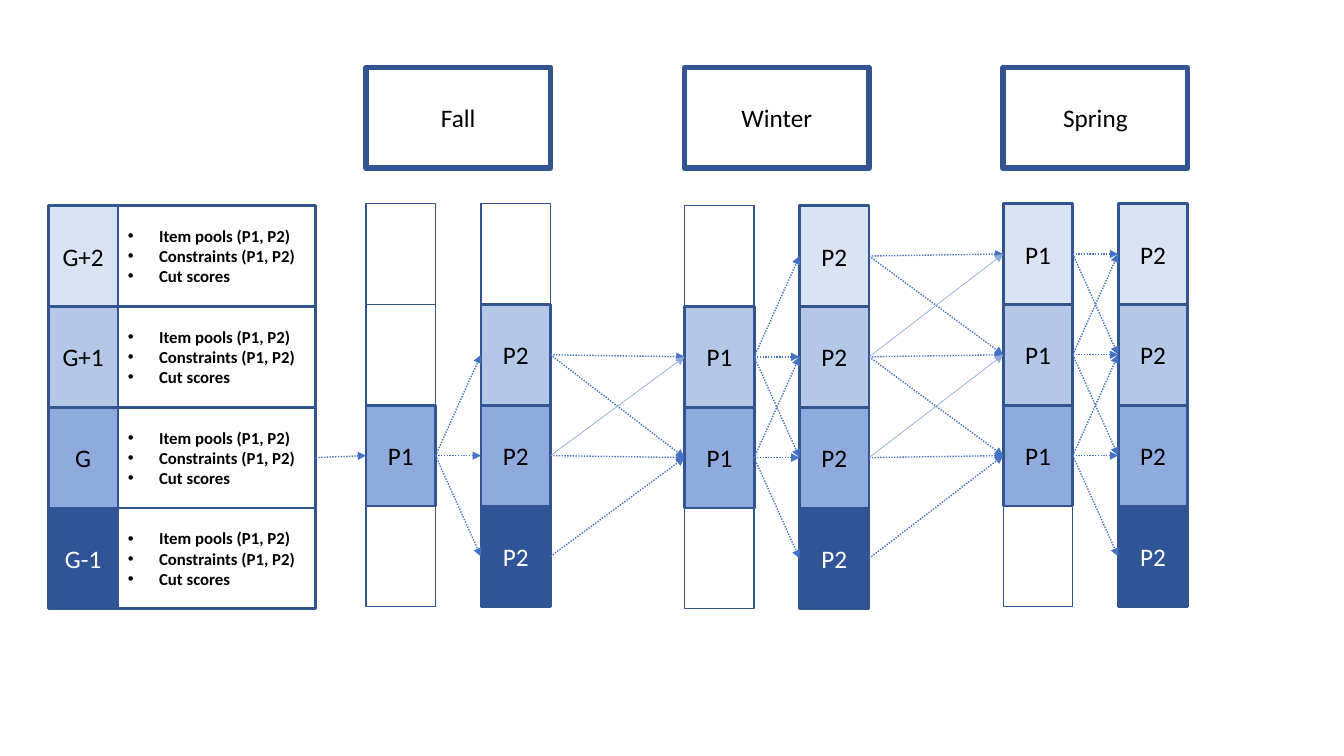
from lxml import etree
from pptx import Presentation, util as u
from pptx.dml.color import RGBColor
from pptx.enum import dml, shapes, text
from pptx.oxml import ns

NAVY = RGBColor(0x32, 0x54, 0x91)
BLUE = RGBColor(0x44, 0x72, 0xC4)
SOFT = RGBColor(0x8F, 0xAA, 0xDC)
BLACK = RGBColor(0, 0, 0)
WHITE = RGBColor(255, 255, 255)
# Grade rows from top to bottom: name, fill, font colour
GRADES = [
    ("G+2", RGBColor(0xDA, 0xE3, 0xF3), BLACK),
    ("G+1", RGBColor(0xB4, 0xC7, 0xE7), BLACK),
    ("G", SOFT, BLACK),
    ("G-1", RGBColor(0x2F, 0x55, 0x97), WHITE),
]
NEEDS = ["Item pools (P1, P2)", "Constraints (P1, P2)", "Cut scores"]
CELL, ROW, TERM = 0.69, 1, 1.83
RIGHT, LEFT = 3, 1  # connection sites of a rectangle

prs = Presentation()
prs.slide_width, prs.slide_height = u.Inches(13.33), u.Inches(7.5)
slide = prs.slides.add_slide(prs.slide_layouts[6])


def add_box(left, top, width, height, lines=(), fill=None, ink=BLACK,
            edge=2, size=18, bold=False, align=text.PP_ALIGN.CENTER):
    box = slide.shapes.add_shape(
        shapes.MSO_SHAPE.RECTANGLE, *map(u.Inches, (left, top, width, height)))
    box.shadow.inherit = False
    if fill is None:
        box.fill.background()
    else:
        box.fill.solid()
        box.fill.fore_color.rgb = fill
    box.line.color.rgb = NAVY
    box.line.width = u.Pt(edge)
    frame = box.text_frame
    frame.word_wrap = True
    frame.vertical_anchor = text.MSO_ANCHOR.MIDDLE
    look = {"name": "Calibri", "size": u.Pt(size), "bold": bold}
    for i, line in enumerate(lines):
        para = frame.add_paragraph() if i else frame.paragraphs[0]
        para.alignment = align
        run = para.add_run()
        run.text = line
        for key, value in look.items():
            setattr(run.font, key, value)
        run.font.color.rgb = ink
    return box


def add_bullets(box):
    indent = u.Inches(0.31)
    for para in box.text_frame.paragraphs:
        props = para._p.get_or_add_pPr()
        props.set("marL", str(indent))
        props.set("indent", str(-indent))
        etree.SubElement(props, ns.qn("a:buFont")).set("typeface", "Arial")
        etree.SubElement(props, ns.qn("a:buChar")).set("char", "\u2022")


def link(start, end, faint=False):
    arrow = slide.shapes.add_connector(shapes.MSO_CONNECTOR.STRAIGHT, 0, 0, 0, 0)
    arrow.begin_connect(start, RIGHT)
    arrow.end_connect(end, LEFT)
    arrow.line.color.rgb = SOFT if faint else BLUE
    arrow.line.width = u.Pt(0.5 if faint else 1)
    if not faint:
        arrow.line.dash_style = dml.MSO_LINE.ROUND_DOT
    tail = etree.SubElement(arrow.line._get_or_add_ln(), ns.qn("a:tailEnd"))
    tail.set("type", "triangle")
    etree.SubElement(arrow._element.spPr, ns.qn("a:effectLst"))


def add_key(left, top, width):
    """Grade names with their needs; returns the need boxes."""
    needs = []
    for i, (name, fill, ink) in enumerate(GRADES):
        y = top + i * ROW
        add_box(left, y, CELL, ROW, [name], fill, ink)
        need = add_box(left + CELL, y, width - CELL, ROW, NEEDS, size=12,
                       bold=True, align=text.PP_ALIGN.LEFT)
        add_bullets(need)
        needs.append(need)
    return needs


def add_stack(left, top, name, used):
    """One column of grade cells, the unused ones empty and behind."""
    cells = {}
    for i in sorted(range(len(GRADES)), key=lambda row: row in used):
        y = top + i * ROW
        if i in used:
            _, fill, ink = GRADES[i]
            cells[i] = add_box(left, y, CELL, ROW, [name], fill, ink)
        else:
            add_box(left, y, CELL, ROW, edge=1)
    return cells


def add_term(left, top, width, name, first, second):
    """A season: header, both stacks and the arrows between them."""
    add_box(left, 0.67, width, ROW, [name], edge=4)
    one = add_stack(left, top, "P1", first)
    two = add_stack(left + width - CELL, top, "P2", second)
    for i, j in ((i, j) for i in one for j in two if abs(i - j) <= 1):
        link(one[i], two[j])
    return one, two


def join_terms(ends, starts):
    """Arrows to the next season; those that climb inside it are faint."""
    last = max(starts)
    for i in ends:
        for j in starts:
            if abs(i - j) <= 1:
                link(ends[i], starts[j], faint=j < i <= last)


needs = add_key(0.48, 2.04, 2.65)
terms = [
    add_term(3.63, 2.02, TERM, "Fall", [2], [1, 2, 3]),
    add_term(6.79, 2.04, TERM, "Winter", [1, 2], [0, 1, 2, 3]),
    add_term(9.95, 2.02, TERM, "Spring", [0, 1, 2], [0, 1, 2, 3]),
]
link(needs[2], terms[0][0][2])
for (_, ends), (starts, _) in zip(terms, terms[1:]):
    join_terms(ends, starts)

prs.save("out.pptx")
